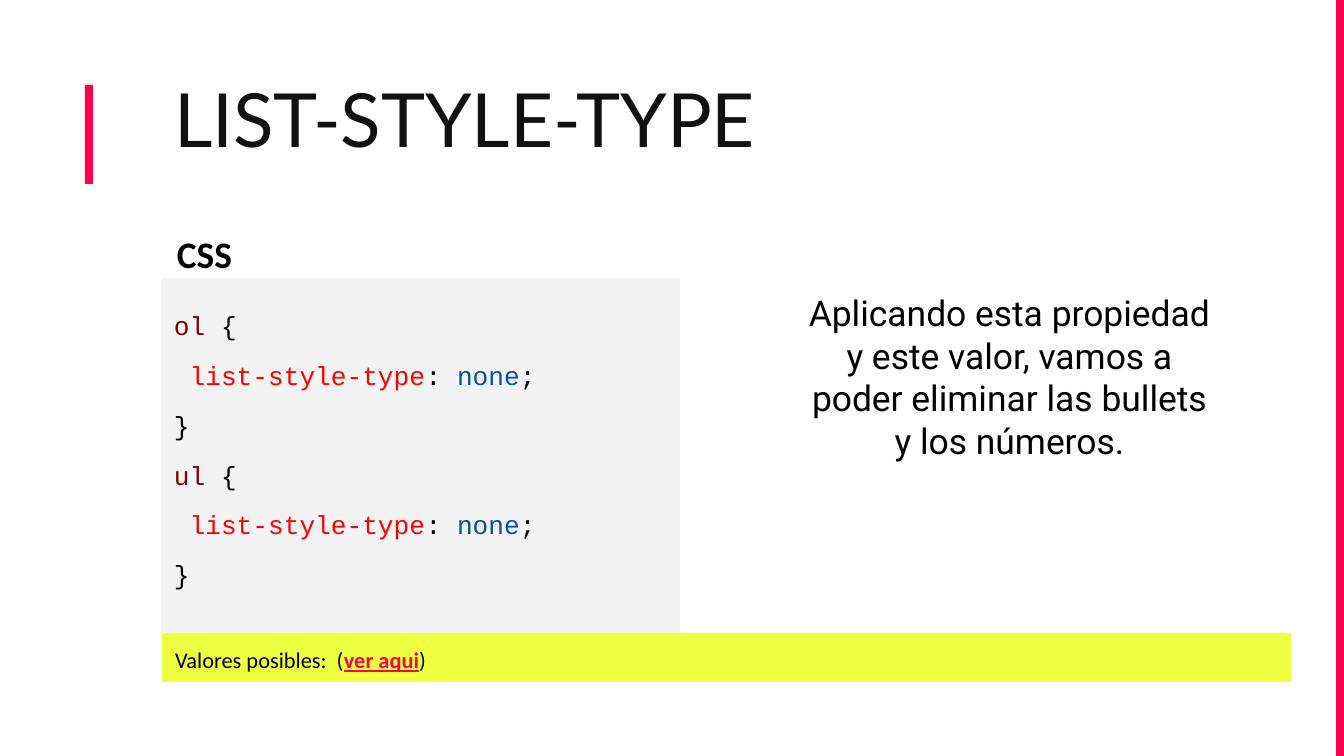
from pptx import Presentation
from pptx.dml.color import RGBColor
from pptx.enum.shapes import MSO_SHAPE
from pptx.enum.text import MSO_ANCHOR, MSO_AUTO_SIZE, PP_ALIGN
from pptx.util import Pt

RECTANGLE = MSO_SHAPE.RECTANGLE
TOP = MSO_ANCHOR.TOP
NO_FIT, GROW = MSO_AUTO_SIZE.NONE, MSO_AUTO_SIZE.SHAPE_TO_FIT_TEXT
LEFT, CENTER = PP_ALIGN.LEFT, PP_ALIGN.CENTER

PX = 914400 / 134.4
INSET = 13
PINK, BLACK = "FF004E", "000000"
SELECTOR, PROPERTY, VALUE = "800000", "FF0000", "0451A5"


def add_bar(slide, fill, *frame):
    """Add a plain filled rectangle; frame is left, top, width, height in px."""
    bar = slide.shapes.add_shape(RECTANGLE, *[round(n * PX) for n in frame])
    bar.shadow.inherit = False
    bar.fill.solid()
    bar.fill.fore_color.rgb = RGBColor.from_string(fill)
    bar.line.fill.background()
    return bar


def write(box, lines, font, align=LEFT, spacing=1.0, fit=NO_FIT):
    """Fill a box with lines, each a list of (text, colour, extra font values)."""
    frame = box.text_frame
    settings = {"word_wrap": True, "auto_size": fit, "vertical_anchor": TOP}
    for side in ("left", "top", "right", "bottom"):
        settings[f"margin_{side}"] = round(INSET * PX)
    for name, value in settings.items():
        setattr(frame, name, value)
    for number, line in enumerate(lines):
        para = frame.add_paragraph() if number else frame.paragraphs[0]
        para.alignment = align
        para.line_spacing = spacing
        para.space_before = Pt(0)
        for text, color, extra in line:
            span = para.add_run()
            span.text = text
            for name, value in {**font, **extra}.items():
                setattr(span.font, name, value)
            span.font.color.rgb = RGBColor.from_string(color)


deck = Presentation()
deck.slide_width = round(1344 * PX)
deck.slide_height = round(756 * PX)
page = deck.slides.add_slide(deck.slide_layouts[5])

# Accent bars
add_bar(page, PINK, 85, 85, 8, 99)
add_bar(page, PINK, 1336, 0, 8, 756)

# Title
title = page.shapes.title
for side, length in {"left": 161, "top": 46, "width": 917, "height": 174}.items():
    setattr(title, side, round(length * PX))
write(title, [[("LIST-STYLE-TYPE", "111111", {})]],
      {"name": "Lato", "size": Pt(40)}, spacing=1.15)

# Code panel: the same rule for both kinds of list
code = []
for tag in ("ol", "ul"):
    code += [
        [(tag, SELECTOR, {}), (" {", BLACK, {})],
        [(" ", BLACK, {}), ("list-style-type", PROPERTY, {}), (": ", BLACK, {}),
         ("none", VALUE, {}), (";", BLACK, {})],
        [("}", BLACK, {})],
    ]
panel = add_bar(page, "F3F3F3", 161, 278, 519, 355)
write(panel, code, {"name": "Courier New", "size": Pt(14)}, spacing=1.59)

heading = page.shapes.add_textbox(*[round(n * PX) for n in (164, 218, 167, 66)])
write(heading, [[("CSS", BLACK, {})]],
      {"name": "Calibri", "size": Pt(20), "bold": True})

# Footer strip
strip = add_bar(page, "EEFF41", 162, 633, 1129, 49)
write(strip, [[("Valores posibles:  (", BLACK, {}),
               ("ver aqui", PINK, {"bold": True, "underline": True}),
               (")", BLACK, {})]],
      {"name": "Calibri", "size": Pt(12)})

# Explanation
note = page.shapes.add_textbox(*[round(n * PX) for n in (789, 278, 441, 199)])
write(note, [[("Aplicando esta propiedad y este valor, vamos a poder eliminar "
               "las bullets y los números.", BLACK, {})]],
      {"name": "Roboto", "size": Pt(19)}, align=CENTER, fit=GROW)

deck.save("out.pptx")
